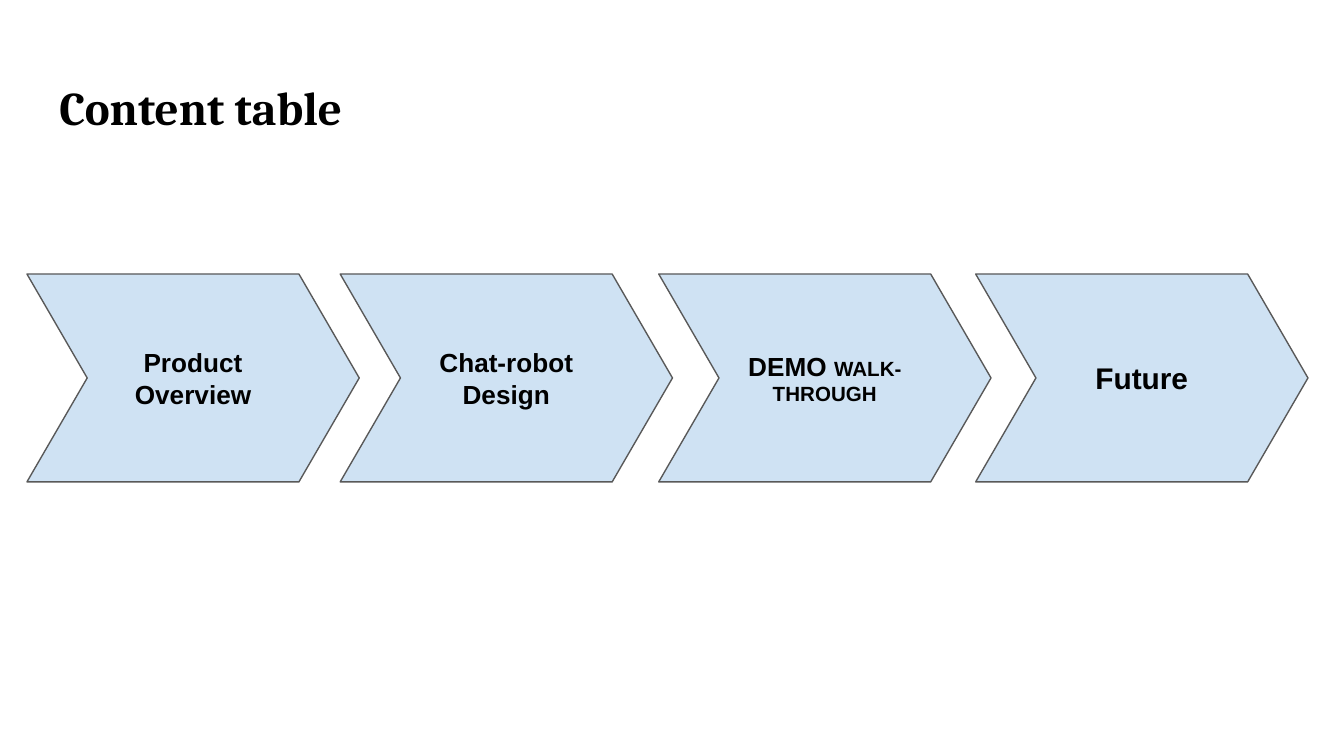
from dataclasses import dataclass

from pptx import Presentation
from pptx.dml.color import RGBColor
from pptx.enum.shapes import MSO_SHAPE
from pptx.enum.text import MSO_ANCHOR, MSO_AUTO_SIZE, PP_ALIGN
from pptx.util import Cm, Pt

CHEVRON = MSO_SHAPE.CHEVRON
TOP, MIDDLE = MSO_ANCHOR.TOP, MSO_ANCHOR.MIDDLE
LEFT, CENTER = PP_ALIGN.LEFT, PP_ALIGN.CENTER
NO_AUTOFIT = MSO_AUTO_SIZE.NONE
TITLE_ONLY = 5


@dataclass(frozen=True)
class Theme:
    ink: RGBColor = RGBColor.from_string("000000")
    fill: RGBColor = RGBColor.from_string("CFE2F3")
    outline: RGBColor = RGBColor.from_string("595959")
    title_font: str = "Cambria"
    body_font: str = "Arial"
    title_size: float = 25.2
    large_size: float = 16
    step_size: float = 14
    small_size: float = 11


THEME = Theme()

STEPS = (
    (0.51, (("Product Overview", THEME.step_size),)),
    (6.43, (("Chat-robot Design", THEME.step_size),)),
    (12.45, (("DEMO ", THEME.step_size), ("WALK-THROUGH", THEME.small_size))),
    (18.44, (("Future", THEME.large_size),)),
)


def write_text(shape, spans, *, font=THEME.body_font, anchor=MIDDLE, align=CENTER):
    frame = shape.text_frame
    frame.word_wrap = True
    frame.auto_size = NO_AUTOFIT
    frame.vertical_anchor = anchor
    frame.margin_left = frame.margin_right = Cm(0.25)
    frame.margin_top = frame.margin_bottom = Cm(0.25)
    para = frame.paragraphs[0]
    para.alignment = align
    for text, size in spans:
        span = para.add_run()
        span.text = text
        span.font.name = font
        span.font.size = Pt(size)
        span.font.bold = True
        span.font.color.rgb = THEME.ink


def set_title(slide, text):
    title = slide.shapes.title
    title.left, title.top = Cm(0.87), Cm(1.24)
    title.width, title.height = Cm(23.67), Cm(1.59)
    write_text(title, ((text, THEME.title_size),),
               font=THEME.title_font, anchor=TOP, align=LEFT)


def add_step(slide, left, spans):
    step = slide.shapes.add_shape(CHEVRON, Cm(left), Cm(5.18), Cm(6.28), Cm(3.93))
    step.adjustments[0] = 0.29
    step.shadow.inherit = False
    step.fill.solid()
    step.fill.fore_color.rgb = THEME.fill
    step.line.color.rgb = THEME.outline
    step.line.width = Pt(0.75)
    write_text(step, spans)


def main():
    deck = Presentation()
    deck.slide_width, deck.slide_height = Cm(25.4), Cm(14.29)
    slide = deck.slides.add_slide(deck.slide_layouts[TITLE_ONLY])
    set_title(slide, "Content table")
    for left, spans in STEPS:
        add_step(slide, left, spans)
    deck.save("out.pptx")


if __name__ == "__main__":
    main()
